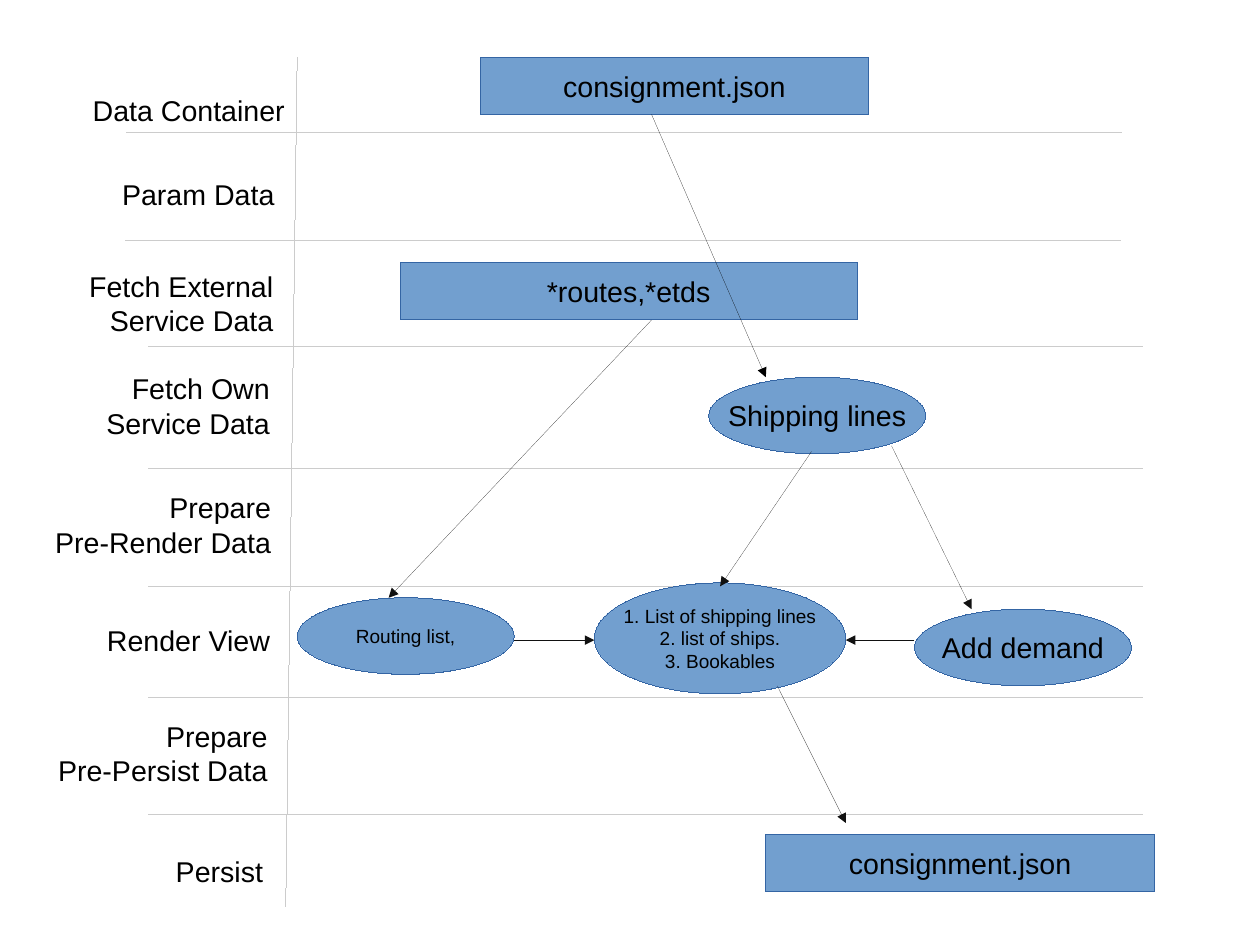
"""Build the consignment data-flow slide with its lanes, nodes and arrows."""
from dataclasses import dataclass

from lxml import etree
from pptx import Presentation
from pptx.dml.color import RGBColor
from pptx.enum.shapes import MSO_CONNECTOR as Connector, MSO_SHAPE as Preset
from pptx.enum.text import MSO_ANCHOR as Anchor, PP_ALIGN as Align
from pptx.oxml.ns import qn
from pptx.shapes.autoshape import Shape
from pptx.shapes.connector import Connector as Link
from pptx.slide import Slide
from pptx.text.text import TextFrame
from pptx.util import Cm, Emu, Pt

EMU_PER_PX = 9144


@dataclass(frozen=True)
class Theme:
    font: str = "Arial"
    text: str = "000000"
    fill: str = "729FCF"
    outline: str = "3465A4"
    grid: str = "CCCCCC"
    arrow: str = "111111"
    normal: int = 18
    small: int = 12


THEME = Theme()


@dataclass(frozen=True)
class Label:
    left: int
    top: int
    right: int
    height: int
    text: str


@dataclass(frozen=True)
class Node:
    preset: Preset
    left: int
    top: int
    width: int
    height: int
    text: str
    size: int = THEME.normal


@dataclass(frozen=True)
class Line:
    x1: int
    y1: int
    x2: int
    y2: int
    color: str = THEME.arrow
    arrow: bool = True


LANE_STARTS = {116: 111, 210: 110, 303: 130, 410: 130, 513: 130, 610: 130, 713: 130}
LANE_WIDTH = 870
GRID = [
    *(Line(x, y, x + LANE_WIDTH, y, THEME.grid, False) for y, x in LANE_STARTS.items()),
    Line(260, 50, 250, 793, THEME.grid, False),
]

LABELS = [
    Label(57, 76, 259, 40, "Data Container"),
    Label(97, 150, 250, 66, "Param Data"),
    Label(70, 230, 249, 66, "Fetch External\nService Data"),
    Label(70, 320, 246, 66, "Fetch Own\nService Data"),
    Label(40, 424, 247, 66, "Prepare\nPre-Render Data"),
    Label(84, 540, 246, 38, "Render View"),
    Label(40, 624, 244, 66, "Prepare\nPre-Persist Data"),
    Label(144, 742, 240, 38, "Persist"),
]

NODES = [
    Node(Preset.RECTANGLE, 420, 50, 340, 50, "consignment.json"),
    Node(Preset.RECTANGLE, 350, 230, 400, 50, "*routes,*etds"),
    Node(Preset.OVAL, 620, 330, 190, 67, "Shipping lines"),
    Node(Preset.OVAL, 260, 523, 190, 67, "Routing list,", THEME.small),
    Node(Preset.OVAL, 520, 510, 220, 97,
         "1. List of shipping lines\n2. list of ships.\n3. Bookables", THEME.small),
    Node(Preset.OVAL, 800, 533, 190, 67, "Add demand"),
    Node(Preset.RECTANGLE, 670, 730, 340, 50, "consignment.json"),
]

ARROWS = [
    Line(570, 100, 670, 330, THEME.text),
    Line(570, 280, 340, 523),
    Line(710, 395, 630, 513),
    Line(780, 390, 850, 533),
    Line(450, 560, 520, 560),
    Line(800, 560, 740, 560),
    Line(680, 600, 740, 720),
]


def px(*lengths: int) -> list[Emu]:
    return [Emu(length * EMU_PER_PX) for length in lengths]


def write(frame: TextFrame, text: str, *, size: int, align: Align,
          anchor: Anchor, wrap: bool) -> None:
    frame.word_wrap = wrap
    frame.vertical_anchor = anchor
    for index, words in enumerate(text.split("\n")):
        para = frame.paragraphs[0] if index == 0 else frame.add_paragraph()
        para.alignment = align
        span = para.add_run()
        span.text = words
        span.font.name = THEME.font
        span.font.size = Pt(size)
        span.font.color.rgb = RGBColor.from_string(THEME.text)


def draw_hairline(shape: Shape | Link, color: str) -> etree.ElementBase:
    shape.line.color.rgb = RGBColor.from_string(color)
    stroke = shape.element.spPr.find(qn("a:ln"))
    stroke.set("w", "0")
    return stroke


def draw_label(page: Slide, label: Label) -> None:
    width = label.right - label.left
    box = page.shapes.add_textbox(*px(label.left, label.top, width, label.height))
    box.text_frame.margin_left = 0
    write(box.text_frame, label.text, size=THEME.normal, align=Align.RIGHT,
          anchor=Anchor.TOP, wrap=True)


def draw_node(page: Slide, node: Node) -> None:
    shape = page.shapes.add_shape(
        node.preset, *px(node.left, node.top, node.width, node.height))
    shape.shadow.inherit = False
    shape.fill.solid()
    shape.fill.fore_color.rgb = RGBColor.from_string(THEME.fill)
    draw_hairline(shape, THEME.outline)
    write(shape.text_frame, node.text, size=node.size, align=Align.CENTER,
          anchor=Anchor.MIDDLE, wrap=False)


def draw_line(page: Slide, line: Line) -> None:
    connector = page.shapes.add_connector(
        Connector.STRAIGHT, *px(line.x1, line.y1, line.x2, line.y2))
    stroke = draw_hairline(connector, line.color)
    if line.arrow:
        etree.SubElement(stroke, qn("a:tailEnd"), type="triangle")
    etree.SubElement(connector.element.spPr, qn("a:effectLst"))


def main() -> None:
    deck = Presentation()
    deck.slide_width, deck.slide_height = Cm(28), Cm(21)
    page = deck.slides.add_slide(deck.slide_layouts[6])
    for line in GRID:
        draw_line(page, line)
    for label in LABELS:
        draw_label(page, label)
    for node in NODES:
        draw_node(page, node)
    for arrow in ARROWS:
        draw_line(page, arrow)
    deck.save("out.pptx")


if __name__ == "__main__":
    main()
